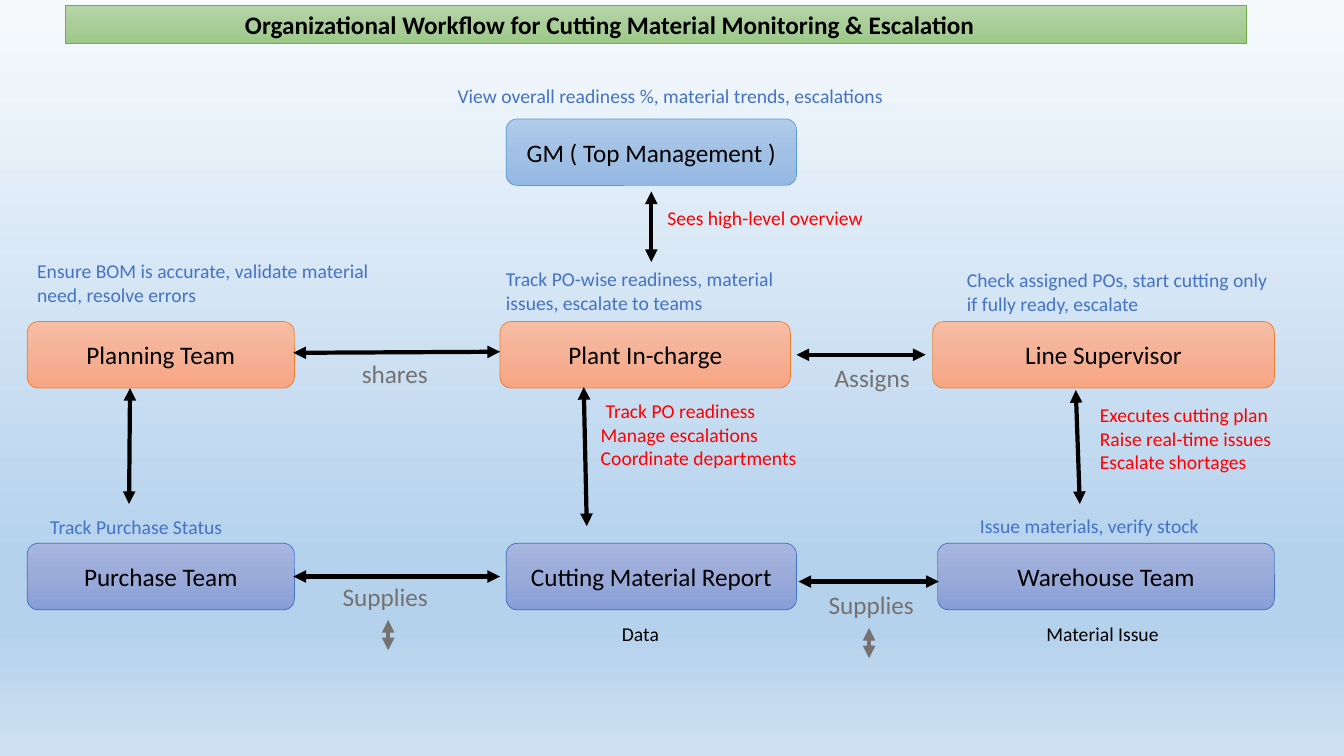
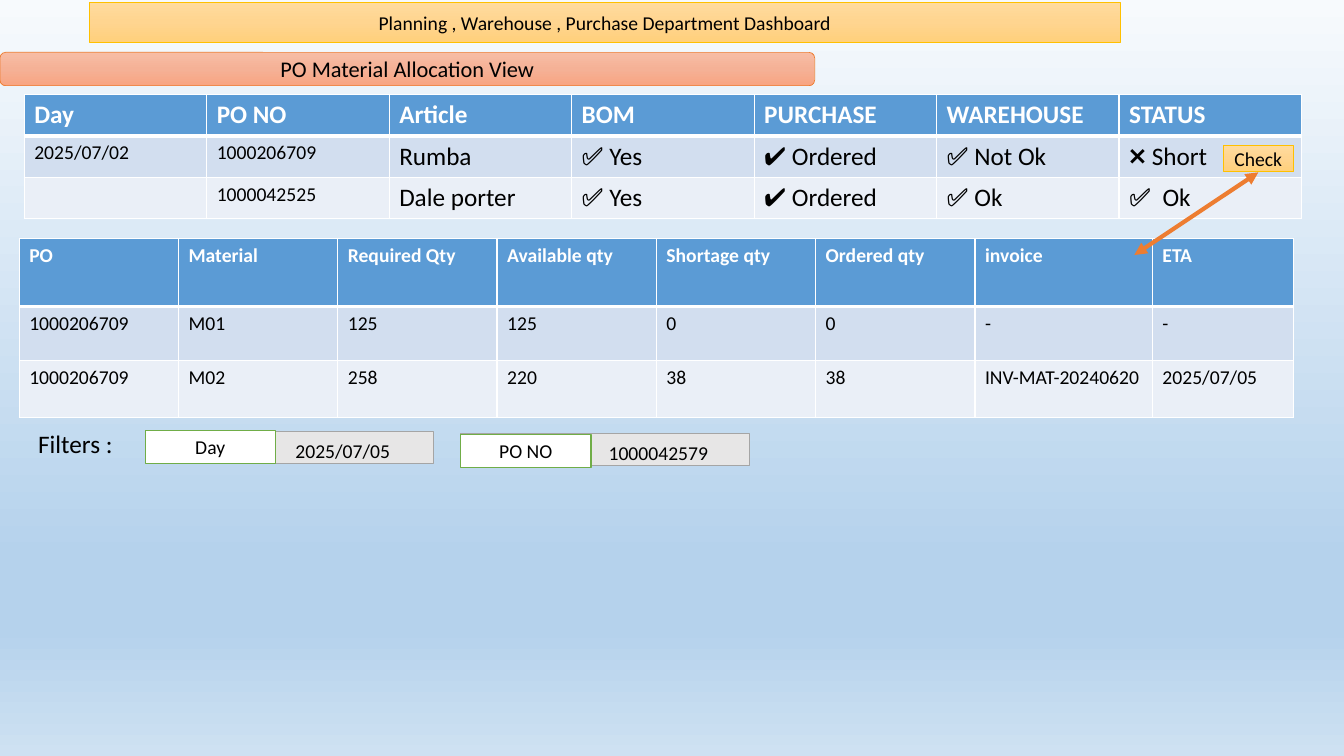
from lxml import etree
from pptx import Presentation
from pptx.dml.color import RGBColor
from pptx.enum.shapes import MSO_CONNECTOR, MSO_SHAPE
from pptx.enum.text import MSO_ANCHOR as ANCHOR, PP_ALIGN as ALIGN
from pptx.oxml.ns import qn
from pptx.util import Inches, Pt

# Shared look
FONT = "Calibri"
BLACK, WHITE, GRAY, RED, BLUE = "000000", "FFFFFF", "767171", "FF0000", "4472C4"
ORANGE, HEADER, BANDS = "ED7D31", "5B9BD5", ("D2DEEF", "EAEFF7")
NO_STYLE = "{2D5ABB26-0587-4C30-8999-92F81FD0307C}"
BACKGROUND = [(0, "F7FAFD"), (74, "B5D2EC"), (83, "B5D2EC"), (100, "CEE1F2")]

# Each theme: three gradient colours, outline
GREEN_BOX = ("B5D5A7", "AACE9A", "9CC987"), "70AD47"
SKY_BOX = ("B1CBE9", "A3C1E5", "93B9E4"), "5B9BD5"
ORANGE_BOX = ("F7BDA5", "F5B196", "F8A582"), ORANGE
INDIGO_BOX = ("A8B7DF", "9AABD9", "889ED7"), BLUE
GOLD_BOX = ("FFDB9E", "FFD590", "FFD07C"), "FFC000"
GRAY_BOX = "E7E6E6", "A5A5A5"
WHITE_BOX = WHITE, "70AD47"


def rgb(value):
    return RGBColor.from_string(value)


def gradient(fill, element, stops):
    """Fill from top to bottom with (percent, colour) stops."""
    fill.gradient()
    fill.gradient_angle = 270
    stop_list = element.find(".//" + qn("a:gsLst"))
    for old in list(stop_list):
        stop_list.remove(old)
    for percent, color in stops:
        stop = etree.SubElement(stop_list, qn("a:gs"), pos=str(percent * 1000))
        etree.SubElement(stop, qn("a:srgbClr"), val=color)


def write(tf, text, size=14, color=BLACK, bold=False, align=ALIGN.LEFT, indent=0):
    """Write one paragraph per line; indent applies to the first."""
    for i, line in enumerate(text.split("\n")):
        p = tf.add_paragraph() if i else tf.paragraphs[0]
        p.alignment = align
        if indent and i == 0:
            p._p.get_or_add_pPr().set("indent", str(Inches(indent)))
        r = p.add_run()
        r.text = line
        r.font.name, r.font.size, r.font.bold = FONT, Pt(size), bold
        r.font.color.rgb = rgb(color)


def box(slide, text, x, y, w, h, theme, rounded=False, line=0.5,
        left=0.1, top=0.05, align=ALIGN.CENTER, **fmt):
    kind = MSO_SHAPE.ROUNDED_RECTANGLE if rounded else MSO_SHAPE.RECTANGLE
    sp = slide.shapes.add_shape(kind, Inches(x), Inches(y), Inches(w), Inches(h))
    sp.shadow.inherit = False
    fill, outline = theme
    if isinstance(fill, str):
        sp.fill.solid()
        sp.fill.fore_color.rgb = rgb(fill)
    else:
        gradient(sp.fill, sp._element, zip((0, 50, 100), fill))
    sp.line.color.rgb = rgb(outline)
    sp.line.width = Pt(line)
    tf = sp.text_frame
    tf.word_wrap = True
    tf.vertical_anchor = ANCHOR.MIDDLE
    tf.margin_left, tf.margin_top = Inches(left), Inches(top)
    write(tf, text, align=align, **fmt)


def label(slide, text, x, y, w, h=0.34, wrap=True, **fmt):
    tf = slide.shapes.add_textbox(Inches(x), Inches(y), Inches(w), Inches(h)).text_frame
    tf.word_wrap = wrap
    write(tf, text, **fmt)


def arrow(slide, x1, y1, x2, y2, color=BLACK):
    """Draw a line with an arrowhead at both ends."""
    line = slide.shapes.add_connector(
        MSO_CONNECTOR.STRAIGHT, Inches(x1), Inches(y1), Inches(x2), Inches(y2))
    line.line.color.rgb = rgb(color)
    line.line.width = Pt(3)
    ln = line.line._get_or_add_ln()
    for end in ("a:headEnd", "a:tailEnd"):
        etree.SubElement(ln, qn(end), type="triangle")
    etree.SubElement(line._element.spPr, qn("a:effectLst"))


def plain_table(slide, x, y, widths, heights):
    table = slide.shapes.add_table(
        len(heights), len(widths), Inches(x), Inches(y),
        Inches(sum(widths)), Inches(sum(heights))).table
    table.first_row = table.horz_banding = False
    table._tbl.tblPr.find(qn("a:tableStyleId")).text = NO_STYLE
    for column, width in zip(table.columns, widths):
        column.width = Inches(width)
    for row, height in zip(table.rows, heights):
        row.height = Inches(height)
    return table


def borders(cell, **widths):
    tc_pr = cell._tc.get_or_add_tcPr()
    for side in "LRTB":
        ln = etree.SubElement(tc_pr, qn("a:ln" + side), w=str(Pt(widths.get(side, 1))))
        fill = etree.SubElement(ln, qn("a:solidFill"))
        etree.SubElement(fill, qn("a:srgbClr"), val=WHITE)


def data_table(slide, x, y, widths, heights, rows, head_size, sizes):
    """Draw a header row and banded body; sizes holds body text sizes by column."""
    table = plain_table(slide, x, y, widths, heights)
    for i, row in enumerate(rows):
        for j, text in enumerate(row):
            cell = table.cell(i, j)
            head = i == 0
            borders(cell, B=3 if head else 1, T=3 if i == 1 else 1)
            cell.fill.solid()
            cell.fill.fore_color.rgb = rgb(HEADER if head else BANDS[(i - 1) % 2])
            if text:
                write(cell.text_frame, text, size=head_size if head else sizes[j],
                      color=WHITE if head else BLACK, bold=head)


def workflow_slide(slide):
    box(slide, "Organizational Workflow for Cutting Material Monitoring & Escalation",
        0.65, 0.05, 11.71, 0.38, GREEN_BOX, left=1.78, align=ALIGN.LEFT,
        size=18, bold=True)

    # Teams
    for text, x, y, w, theme in (
            ("GM ( Top Management )", 5.02, 1.18, 2.88, SKY_BOX),
            ("Planning Team", 0.27, 3.19, 2.65, ORANGE_BOX),
            ("Plant In-charge", 4.96, 3.19, 2.88, ORANGE_BOX),
            ("Line Supervisor", 9.25, 3.19, 3.39, ORANGE_BOX),
            ("Purchase Team", 0.27, 5.39, 2.65, INDIGO_BOX),
            ("Cutting Material Report", 5.02, 5.39, 2.88, INDIGO_BOX),
            ("Warehouse Team", 9.3, 5.39, 3.34, INDIGO_BOX)):
        box(slide, text, x, y, w, 0.66, theme, rounded=True, size=18)

    # Duties above the teams
    for text, x, y, w in (
            ("View overall readiness %, material trends, escalations", 4.44, 0.78, 4.5),
            ("Ensure BOM is accurate, validate material need, resolve errors",
             0.27, 2.52, 3.59),
            ("Track PO-wise readiness, material issues, escalate to teams",
             4.92, 2.6, 3.39),
            ("Track Purchase Status", 0.4, 5.06, 2.7),
            ("Issue materials, verify stock", 9.62, 5.05, 2.6)):
        label(slide, text, x, y, w, color=BLUE)
    cell = plain_table(slide, 9.49, 2.62, [3.23], [0.57]).cell(0, 0)
    cell.vertical_anchor = ANCHOR.MIDDLE
    write(cell.text_frame, "Check assigned POs, start cutting only if fully ready, escalate",
          color=BLUE)

    # Actions beside the vertical arrows
    label(slide, "Sees high-level overview", 6.52, 1.99, 2.86, color=RED)
    label(slide, "Track PO readiness\nManage escalations\nCoordinate departments",
          5.86, 3.91, 2.3, 0.81, color=RED, indent=0.05)
    label(slide, "Executes cutting plan\nRaise real-time issues\nEscalate shortages",
          10.81, 3.95, 2, 0.81, color=RED)

    # Names of the flows
    for text, x, y, w in (("shares", 3.49, 3.51, 0.86), ("Assigns", 8.18, 3.55, 0.95),
                          ("Supplies", 3.3, 5.72, 1.06), ("Supplies", 8.12, 5.8, 1.06)):
        label(slide, text, x, y, w, 0.4, wrap=False, size=18, color=GRAY)
    label(slide, "Data", 6.07, 6.12, 0.57, wrap=False)
    label(slide, "Material Issue", 10.28, 6.12, 1.33, wrap=False)

    # Arrows
    for ends in ((2.91, 3.5, 4.96, 3.49), (7.9, 3.52, 9.18, 3.52),
                 (2.91, 5.72, 4.96, 5.72), (7.92, 5.77, 9.31, 5.77),
                 (6.46, 1.9, 6.46, 2.6), (1.29, 3.85, 1.28, 5),
                 (5.79, 3.84, 5.82, 5.22), (10.67, 3.87, 10.71, 5)):
        arrow(slide, *ends)
    for x, y in ((3.85, 6.15), (8.62, 6.23)):
        arrow(slide, x, y, x, y + 0.3, GRAY)


def dashboard_slide(slide):
    box(slide, "Planning , Warehouse , Purchase Department Dashboard",
        0.89, 0.02, 10.22, 0.4, GOLD_BOX)
    box(slide, "PO Material Allocation View", 0, 0.52, 8.08, 0.33, ORANGE_BOX,
        rounded=True, size=16)

    # Orders
    data_table(slide, 0.24, 0.94, [1.81] * 7, [0.41] * 3, [
        ("Day", "PO NO", "Article", "BOM", "PURCHASE", "WAREHOUSE", "STATUS"),
        ("2025/07/02", "1000206709", "Rumba", "✅ Yes", "✔ Ordered", "✅ Not Ok", "❌ Short"),
        ("", "1000042525", "Dale porter", "✅ Yes", "✔ Ordered", "✅ Ok", "✅  Ok"),
    ], 18, [14] * 2 + [18] * 5)
    box(slide, "Check", 12.13, 1.44, 0.7, 0.26, GOLD_BOX)

    # Materials of the checked order
    data_table(slide, 0.19, 2.37, [1.58] * 6 + [1.76, 1.4], [0.67, 0.54, 0.56], [
        ("PO", "Material", "Required Qty", "Available qty", "Shortage qty",
         "Ordered qty", "invoice", "ETA"),
        ("1000206709", "M01", "125", "125", "0", "0", "-", "-"),
        ("1000206709", "M02", "258", "220", "38", "38", "INV-MAT-20240620", "2025/07/05"),
    ], 14, [14] * 8)
    arrow(slide, 12.48, 1.71, 11.25, 2.53, ORANGE)

    # Filters
    label(slide, "Filters :", 0.28, 4.2, 2.51, 0.4, size=18)
    for name, value, x, name_y, value_y in (("Day", "2025/07/05", 1.44, 4.27, 4.28),
                                            ("PO NO", "1000042579", 4.57, 4.31, 4.3)):
        box(slide, value, x, value_y, 2.86, 0.32, GRAY_BOX, left=1.16, top=0.12)
        box(slide, name, x, name_y, 1.29, 0.33, WHITE_BOX, line=1)


def main():
    prs = Presentation()
    prs.slide_width, prs.slide_height = Inches(13.33), Inches(7.5)
    master = prs.slide_master
    gradient(master.background.fill, master._element, BACKGROUND)
    for build in (workflow_slide, dashboard_slide):
        build(prs.slides.add_slide(prs.slide_layouts[6]))
    prs.save("out.pptx")


if __name__ == "__main__":
    main()
